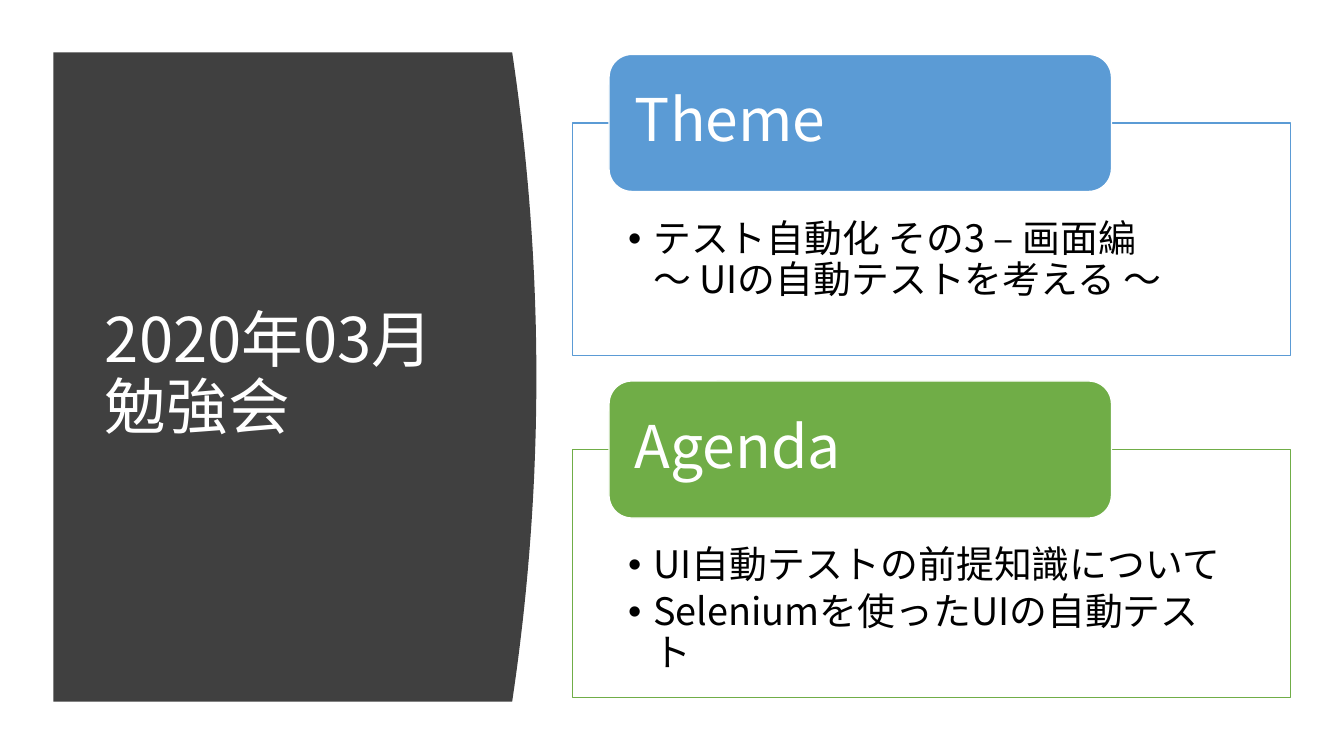
from lxml import etree
from pptx import Presentation
from pptx.dml.color import RGBColor
from pptx.enum.shapes import MSO_SHAPE as Preset
from pptx.enum.text import MSO_ANCHOR as Anchor, MSO_AUTO_SIZE as AutoSize, PP_ALIGN as Align
from pptx.oxml.ns import qn
from pptx.util import Inches, Pt

FONT = "Noto Sans CJK JP"
WHITE = RGBColor(0xFF, 0xFF, 0xFF)
BLACK = RGBColor(0x00, 0x00, 0x00)
CHARCOAL = RGBColor(0x40, 0x40, 0x40)
BLUE = RGBColor(0x5B, 0x9B, 0xD5)
GREEN = RGBColor(0x70, 0xAD, 0x47)

SECTIONS = [
    ("Theme", BLUE, (5.68, 0.54, 7.12, 2.99),
     [["テスト自動化 その3 – 画面編", "～ UIの自動テストを考える ～"]]),
    ("Agenda", GREEN, (5.68, 3.78, 7.12, 3.14),
     [["UI自動テストの前提知識について"], ["Seleniumを使ったUIの自動テスト"]]),
]


def write_lines(paragraph, lines, size, color):
    """Write lines, parted by line breaks, into one paragraph."""
    paragraph.alignment = Align.LEFT
    paragraph.line_spacing = 0.9
    for index, line in enumerate(lines):
        if index:
            paragraph.add_line_break()
        run = paragraph.add_run()
        run.text = line
        run.font.size = Pt(size)
        run.font.name = FONT
        run.font.color.rgb = color
        east_asian = etree.SubElement(run.font._element, qn("a:ea"))
        east_asian.set("typeface", FONT)


def add_bullet(paragraph):
    """Give a paragraph a hanging round bullet."""
    properties = paragraph._p.get_or_add_pPr()
    properties.set("marL", str(Inches(0.25)))
    properties.set("indent", str(Inches(-0.25)))
    etree.SubElement(properties, qn("a:buFont")).set("typeface", "Arial")
    etree.SubElement(properties, qn("a:buChar")).set("char", "•")


def set_frame(frame, anchor, insets):
    """Set the wrapping, anchor and insets of a text frame."""
    frame.word_wrap = True
    frame.auto_size = AutoSize.NONE
    frame.vertical_anchor = anchor
    (frame.margin_left, frame.margin_top,
     frame.margin_right, frame.margin_bottom) = map(Inches, insets)


def add_box(slide, preset, box, fill, line):
    """Add a preset shape with a plain fill and a thin outline."""
    shape = slide.shapes.add_shape(preset, *map(Inches, box))
    shape.shadow.inherit = False
    shape.fill.solid()
    shape.fill.fore_color.rgb = fill
    shape.line.color.rgb = line
    shape.line.width = Pt(1)
    return shape


def add_title_panel(slide, box, lines):
    """Draw the dark panel with its bowed right edge and set the title on it."""
    left, top, width, height = box
    bow, steps = 0.24, 40
    edge = []
    for step in range(steps + 1):
        offset = 2 * step / steps - 1
        edge.append((left + width - bow * offset ** 2, top + height * step / steps))
    builder = slide.shapes.build_freeform(Inches(left), Inches(top))
    builder.add_line_segments(
        [(Inches(x), Inches(y)) for x, y in edge + [(left, top + height)]], close=True)
    panel = builder.convert_to_shape()
    panel.shadow.inherit = False
    panel.fill.solid()
    panel.fill.fore_color.rgb = CHARCOAL
    panel.line.fill.background()

    title = slide.shapes.title
    title.left, title.top = Inches(left + 0.41), Inches(top + 0.59)
    title.width, title.height = Inches(3.74), Inches(5.24)
    set_frame(title.text_frame, Anchor.MIDDLE, (0.1, 0.05, 0.1, 0.05))
    write_lines(title.text_frame.paragraphs[0], lines, 44, WHITE)
    panel.element.addnext(title.element)


def add_section(slide, box, heading, color, items):
    """Draw an outlined list with a heading tab over its top edge."""
    left, top, width, height = box
    tab_height = 1.36
    drop = tab_height / 2
    body = add_box(slide, Preset.RECTANGLE,
                   (left, top + drop, width, height - drop), WHITE, color)
    set_frame(body.text_frame, Anchor.TOP, (0.55, 0.96, 0.55, 0.21))
    for index, lines in enumerate(items):
        frame = body.text_frame
        paragraph = frame.add_paragraph() if index else frame.paragraphs[0]
        write_lines(paragraph, lines, 27, BLACK)
        paragraph.space_after = Pt(4)
        add_bullet(paragraph)

    tab = add_box(slide, Preset.ROUNDED_RECTANGLE,
                  (left + 0.36, top, width * 0.7, tab_height), color, WHITE)
    set_frame(tab.text_frame, Anchor.MIDDLE, (0.19, 0, 0.19, 0))
    write_lines(tab.text_frame.paragraphs[0], [heading], 42, WHITE)


def build():
    """Build the study meeting slide and save it."""
    presentation = Presentation()
    presentation.slide_width = Inches(13.33)
    presentation.slide_height = Inches(7.5)
    slide = presentation.slides.add_slide(presentation.slide_layouts[5])
    add_title_panel(slide, (0.53, 0.52, 4.79, 6.44), ["2020年03月", "勉強会"])
    for heading, color, box, items in SECTIONS:
        add_section(slide, box, heading, color, items)
    presentation.save("out.pptx")


build()
